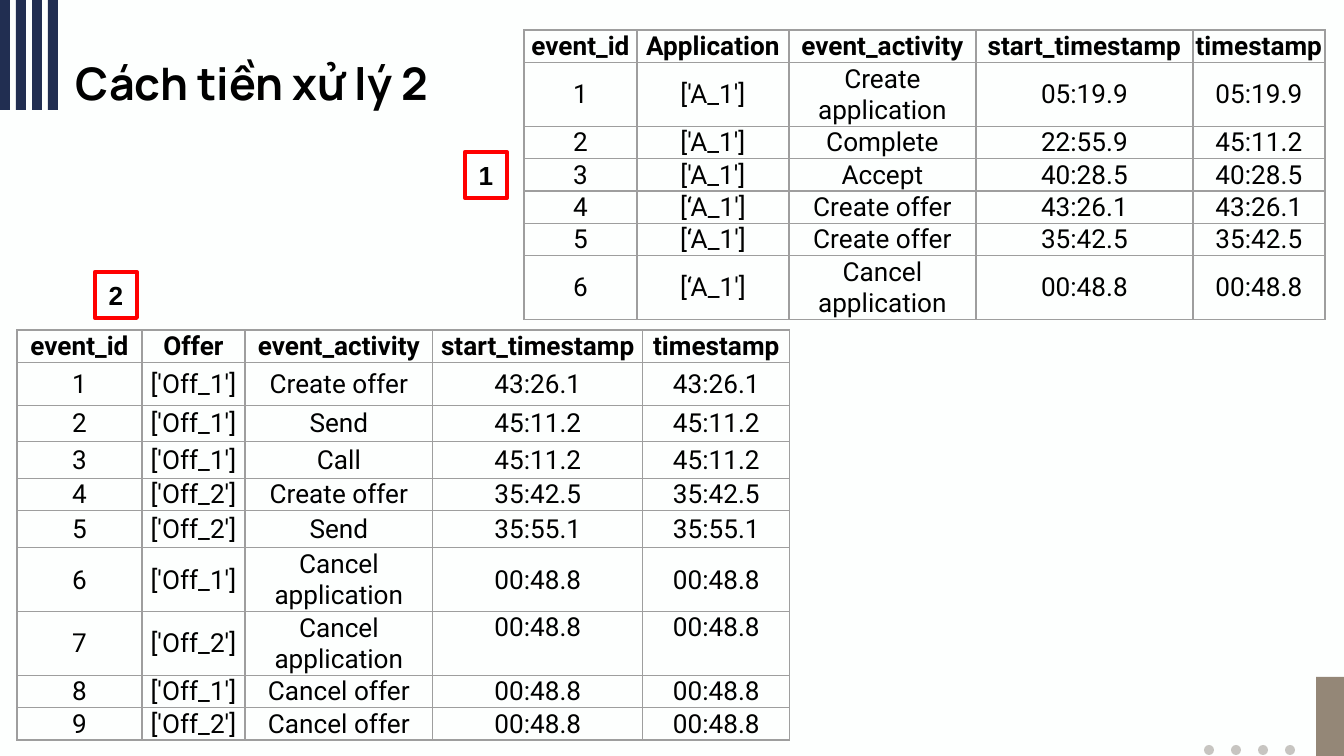
from dataclasses import dataclass

from lxml import etree
from pptx import Presentation
from pptx import util as u
from pptx.dml.color import RGBColor
from pptx.enum import shapes, text
from pptx.oxml.ns import qn

SLIDE_WIDTH, SLIDE_HEIGHT = 1344, 756
EMU_PER_PX = u.Inches(10) / SLIDE_WIDTH


@dataclass(frozen=True)
class Theme:
    background: str = "FDFFFE"
    navy: str = "212E51"
    dot: str = "C7C5C1"
    taupe: str = "948777"
    ink: str = "000000"
    border: str = "9E9E9E"
    badge: str = "FF0000"
    title_font: str = "Manrope"
    table_font: str = "Roboto"
    badge_font: str = "Arial"
    title_size: int = 24
    body_size: int = 14
    border_width: float = 0.75
    badge_width: float = 2.25


THEME = Theme()


@dataclass(frozen=True)
class Box:
    left: int
    top: int
    width: int
    height: int

    def emu(self) -> tuple[u.Emu, ...]:
        return tuple(px(v) for v in (self.left, self.top, self.width, self.height))


@dataclass(frozen=True)
class Badge:
    label: str
    box: Box


@dataclass(frozen=True)
class EventTable:
    left: int
    top: int
    columns: list[int]
    row_heights: list[int]
    rows: list[tuple[str, ...]]
    top_anchored: frozenset = frozenset()


def px(value: float) -> u.Emu:
    return u.Emu(round(value * EMU_PER_PX))


def color(value: str) -> RGBColor:
    return RGBColor.from_string(value)


def style_text(paragraph, font_name: str, size: int, bold: bool) -> None:
    for run in paragraph.runs:
        run.font.name, run.font.size, run.font.bold = font_name, u.Pt(size), bold
        run.font.color.rgb = color(THEME.ink)


def set_margins(target, left: int, top: int, right: int, bottom: int) -> None:
    target.margin_left, target.margin_top = px(left), px(top)
    target.margin_right, target.margin_bottom = px(right), px(bottom)


def draw_block(slide, kind, box: Box, fill: str) -> None:
    shape = slide.shapes.add_shape(kind, *box.emu())
    shape.shadow.inherit = False
    shape.fill.solid()
    shape.fill.fore_color.rgb = color(fill)
    shape.line.fill.background()


def draw_title(slide, title: str, box: Box) -> None:
    shape = slide.shapes.add_textbox(*box.emu())
    frame = shape.text_frame
    frame.word_wrap = True
    set_margins(frame, 33, 13, 13, 13)
    frame.text = title
    style_text(frame.paragraphs[0], THEME.title_font, THEME.title_size, True)


def draw_badge(slide, badge: Badge) -> None:
    shape = slide.shapes.add_shape(shapes.MSO_SHAPE.RECTANGLE, *badge.box.emu())
    shape.shadow.inherit = False
    shape.fill.background()
    shape.line.color.rgb = color(THEME.badge)
    shape.line.width = u.Pt(THEME.badge_width)
    frame = shape.text_frame
    frame.word_wrap = False
    frame.auto_size = text.MSO_AUTO_SIZE.SHAPE_TO_FIT_TEXT
    frame.text = badge.label
    frame.paragraphs[0].alignment = text.PP_ALIGN.CENTER
    style_text(frame.paragraphs[0], THEME.badge_font, THEME.body_size, True)


def add_borders(cell) -> None:
    properties = cell._tc.get_or_add_tcPr()
    for index, side in enumerate(("lnL", "lnR", "lnT", "lnB")):
        line = etree.Element(qn(f"a:{side}"), w=str(u.Pt(THEME.border_width)))
        fill = etree.SubElement(line, qn("a:solidFill"))
        etree.SubElement(fill, qn("a:srgbClr"), val=THEME.border)
        properties.insert(index, line)


def draw_table(slide, spec: EventTable) -> None:
    box = Box(spec.left, spec.top, sum(spec.columns), sum(spec.row_heights))
    table = slide.shapes.add_table(len(spec.rows), len(spec.columns), *box.emu()).table
    table.horz_banding = False
    for column, width in zip(table.columns, spec.columns):
        column.width = px(width)
    for r, (values, height) in enumerate(zip(spec.rows, spec.row_heights)):
        table.rows[r].height = px(height)
        for c, value in enumerate(values):
            cell = table.cell(r, c)
            cell.fill.background()
            add_borders(cell)
            set_margins(cell, 1, 1, 1, 0)
            is_top = (r, c) in spec.top_anchored
            cell.vertical_anchor = text.MSO_ANCHOR.TOP if is_top else text.MSO_ANCHOR.MIDDLE
            cell.text_frame.text = value
            paragraph = cell.text_frame.paragraphs[0]
            paragraph.alignment = text.PP_ALIGN.CENTER
            style_text(paragraph, THEME.table_font, THEME.body_size, r == 0)


APPLICATION_EVENTS = EventTable(
    524, 30, [113, 152, 187, 217, 132], [32, 62, 32, 31, 32, 32, 62],
    [
        ("event_id", "Application", "event_activity", "start_timestamp", "timestamp"),
        ("1", "['A_1']", "Create application", "05:19.9", "05:19.9"),
        ("2", "['A_1']", "Complete", "22:55.9", "45:11.2"),
        ("3", "['A_1']", "Accept", "40:28.5", "40:28.5"),
        ("4", "[‘A_1']", "Create offer", "43:26.1", "43:26.1"),
        ("5", "[‘A_1']", "Create offer", "35:42.5", "35:42.5"),
        ("6", "[‘A_1']", "Cancel application", "00:48.8", "00:48.8"),
    ],
)
OFFER_EVENTS = EventTable(
    17, 330, [125, 103, 188, 210, 147], [31, 43, 36, 37, 32, 37, 63, 62, 32, 32],
    [
        ("event_id", "Offer", "event_activity", "start_timestamp", "timestamp"),
        ("1", "['Off_1']", "Create offer", "43:26.1", "43:26.1"),
        ("2", "['Off_1']", "Send", "45:11.2", "45:11.2"),
        ("3", "['Off_1']", "Call", "45:11.2", "45:11.2"),
        ("4", "['Off_2']", "Create offer", "35:42.5", "35:42.5"),
        ("5", "['Off_2']", "Send", "35:55.1", "35:55.1"),
        ("6", "['Off_1']", "Cancel application", "00:48.8", "00:48.8"),
        ("7", "['Off_2']", "Cancel application", "00:48.8", "00:48.8"),
        ("8", "['Off_1']", "Cancel offer", "00:48.8", "00:48.8"),
        ("9", "['Off_2']", "Cancel offer", "00:48.8", "00:48.8"),
    ],
    frozenset({(7, 3), (7, 4)}),
)
BADGES = [Badge("1", Box(465, 152, 42, 46)), Badge("2", Box(95, 272, 42, 46))]


def main() -> None:
    presentation = Presentation()
    presentation.slide_width, presentation.slide_height = px(SLIDE_WIDTH), px(SLIDE_HEIGHT)
    slide = presentation.slides.add_slide(presentation.slide_layouts[6])
    slide.background.fill.solid()
    slide.background.fill.fore_color.rgb = color(THEME.background)

    # Corner decoration: stripes, dots and block
    for i in range(4):
        draw_block(slide, shapes.MSO_SHAPE.RECTANGLE, Box(16 * i, 0, 10, 110), THEME.navy)
    for i in range(4):
        draw_block(slide, shapes.MSO_SHAPE.OVAL, Box(1204 + 27 * i, 745, 10, 10), THEME.dot)
    draw_block(slide, shapes.MSO_SHAPE.RECTANGLE, Box(1316, 677, 28, 79), THEME.taupe)

    # Title
    draw_title(slide, "Cách tiền xử lý 2", Box(43, 43, 665, 85))

    # Event tables and their numbers
    for event_table in (APPLICATION_EVENTS, OFFER_EVENTS):
        draw_table(slide, event_table)
    for badge in BADGES:
        draw_badge(slide, badge)

    presentation.save("out.pptx")


if __name__ == "__main__":
    main()
